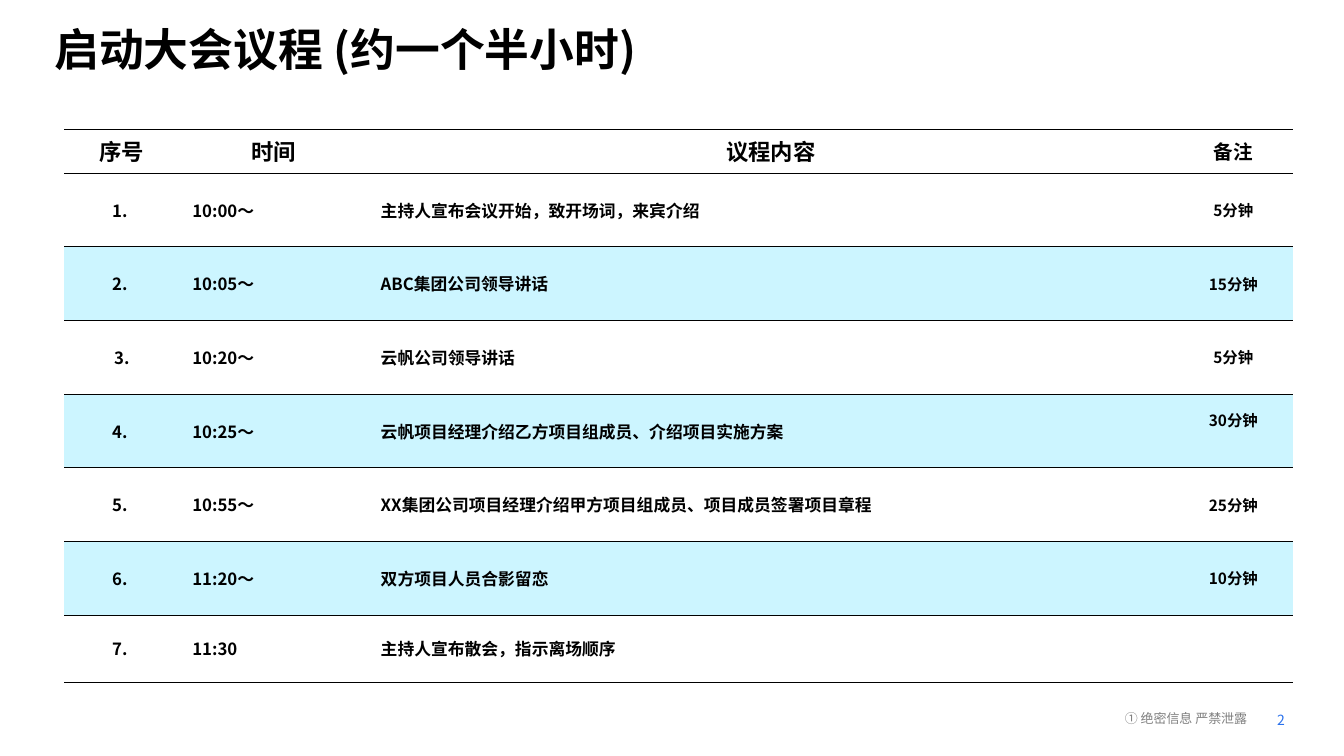
from lxml import etree
from pptx import Presentation
from pptx import util as u
from pptx.dml import color
from pptx.enum import text
from pptx.oxml import ns

FONT = "Noto Sans CJK SC"


def rgb(value):
    return color.RGBColor.from_string(value)


def style(paragraph, size, hex_color="000000", bold=False):
    for run in paragraph.runs:
        run.font.size = u.Pt(size)
        run.font.bold = bold
        run.font.name = FONT
        run.font.color.rgb = rgb(hex_color)
        east_asian = etree.SubElement(run.font._element, ns.qn("a:ea"))
        east_asian.set("typeface", FONT)


presentation = Presentation()
presentation.slide_width = u.Pt(960)
presentation.slide_height = u.Pt(540)
slide = presentation.slides.add_slide(presentation.slide_layouts[6])

title = slide.shapes.add_textbox(u.Pt(31.7), u.Pt(16.6), u.Pt(763), u.Pt(36.7))
title.text_frame.word_wrap = True
title.text_frame.text = "启动大会议程 (约一个半小时)"
title.text_frame.paragraphs[0].line_spacing = 0.9
style(title.text_frame.paragraphs[0], 32, bold=True)

agenda = [
    ("序号", "时间", "议程内容", "备注"),
    ("1. ", "10:00～", "主持人宣布会议开始，致开场词，来宾介绍", "5分钟"),
    ("2. ", "10:05～", "ABC集团公司领导讲话", "15分钟"),
    ("3.", "10:20～", "云帆公司领导讲话", "5分钟"),
    ("4. ", "10:25～", "云帆项目经理介绍乙方项目组成员、介绍项目实施方案", "30分钟"),
    ("5. ", "10:55～", "XX集团公司项目经理介绍甲方项目组成员、项目成员签署项目章程", "25分钟"),
    ("6. ", "11:20～", "双方项目人员合影留恋", "10分钟"),
    ("7. ", "11:30", "主持人宣布散会，指示离场顺序", ""),
]
column_widths = [82, 134.6, 576, 84.8]
row_heights = [31] + [52.65] * 6 + [47.8]
header_sizes = [16, 16, 16, 14]
body_sizes = [12, 12, 12, 11]
centered_columns = (0, 3)

frame = slide.shapes.add_table(
    len(agenda), len(column_widths), u.Pt(46), u.Pt(92.5),
    u.Pt(sum(column_widths)), u.Pt(sum(row_heights)))
table = frame.table
table.first_row = False
table.horz_banding = False
table._tbl.tblPr.find(ns.qn("a:tableStyleId")).text = "{2D5ABB26-0587-4C30-8999-92F81FD0307C}"
for column, width in zip(table.columns, column_widths):
    column.width = u.Pt(width)

for row_index, (entries, height) in enumerate(zip(agenda, row_heights)):
    table.rows[row_index].height = u.Pt(height)
    sizes = body_sizes if row_index else header_sizes
    for column_index, (entry, size) in enumerate(zip(entries, sizes)):
        cell = table.cell(row_index, column_index)
        cell.text_frame.text = entry
        cell.vertical_anchor = text.MSO_ANCHOR.MIDDLE
        cell.margin_left = cell.margin_right = u.Pt(9.4)
        cell.margin_top = cell.margin_bottom = u.Pt(3.6)
        paragraph = cell.text_frame.paragraphs[0]
        if row_index == 0 or column_index in centered_columns:
            paragraph.alignment = text.PP_ALIGN.CENTER
        style(paragraph, size, bold=True)
        properties = cell._tc.get_or_add_tcPr()
        for side in ("a:lnT", "a:lnB"):
            border = etree.SubElement(properties, ns.qn(side), w=str(u.Pt(0.5)))
            border_fill = etree.SubElement(border, ns.qn("a:solidFill"))
            etree.SubElement(border_fill, ns.qn("a:srgbClr"), val="000000")
        if row_index in (2, 4, 6):
            cell.fill.solid()
            cell.fill.fore_color.rgb = rgb("CCF5FF")
        else:
            cell.fill.background()
table.cell(4, 3).margin_bottom = u.Pt(20)

footers = [
    ("① 绝密信息 严禁泄露", 803.5, 505.4, 94, 13.7, 9.3, "808080"),
    ("2", 912.2, 507.6, 16.6, 12.2, 10, "2A71EC"),
]
for label, left, top, width, height, size, hex_color in footers:
    footer = slide.shapes.add_textbox(u.Pt(left), u.Pt(top), u.Pt(width), u.Pt(height))
    text_frame = footer.text_frame
    text_frame.margin_left = text_frame.margin_right = 0
    text_frame.margin_top = text_frame.margin_bottom = 0
    text_frame.vertical_anchor = text.MSO_ANCHOR.MIDDLE
    text_frame.word_wrap = True
    text_frame.text = label
    text_frame.paragraphs[0].line_spacing = u.Pt(13.3)
    style(text_frame.paragraphs[0], size, hex_color)

presentation.save("out.pptx")
